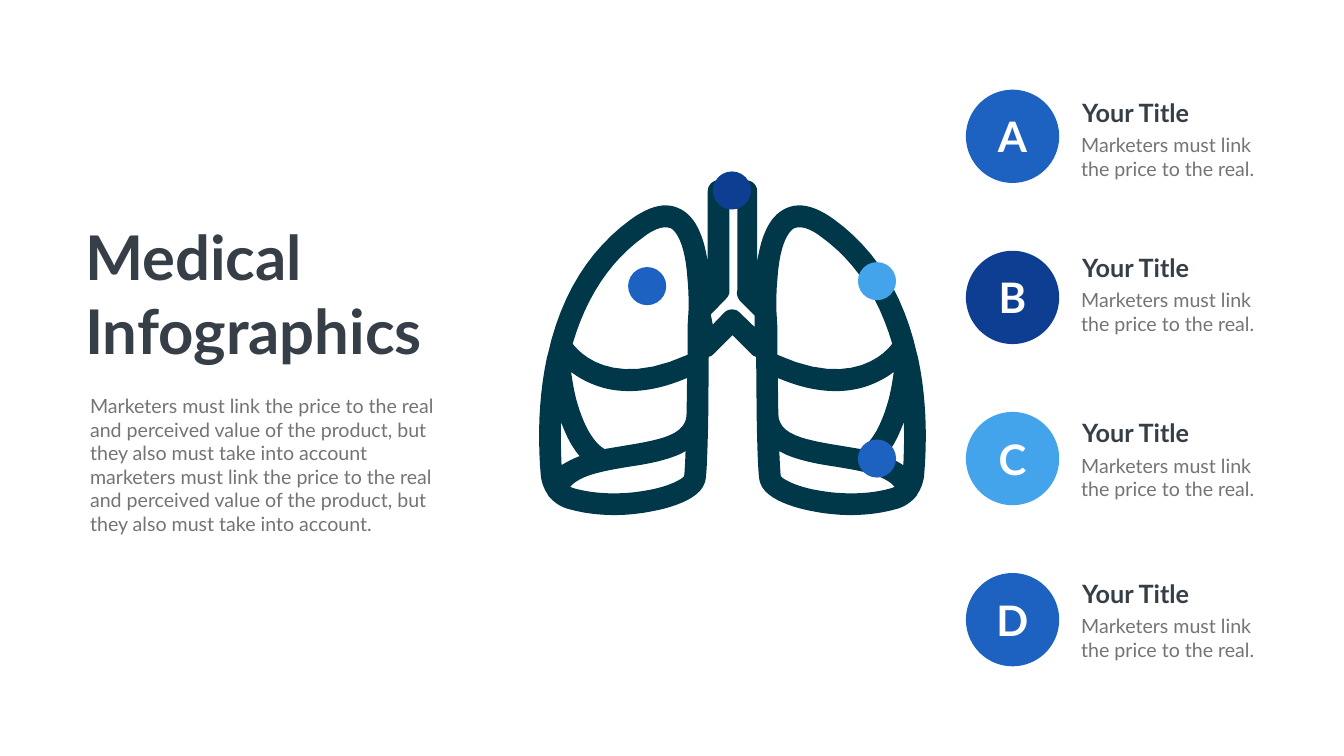
from typing import NamedTuple

from pptx import Presentation, util as u
from pptx.dml.color import RGBColor
from pptx.enum import shapes as sh, text as tx

HUES = {"lung": "00384A", "blue": "1D62C1", "navy": "0D3E91", "sky": "43A4EC",
        "ink": "363E48", "grey": "737572", "white": "FFFFFF"}
Point = tuple[float, float]
Curve = list[tuple[float, ...]]


class Box(NamedTuple):
    left: float
    top: float
    width: float
    height: float


class Style(NamedTuple):
    size: int
    hue: str
    bold: bool = False
    align: tx.PP_ALIGN = tx.PP_ALIGN.LEFT


class Item(NamedTuple):
    mark: str
    hue: str
    top: float  # top of the item's heading


class Dot(NamedTuple):
    left: float
    top: float
    hue: str


HEAD = Style(88, "ink", True)
BODY = Style(28, "grey")
TITLE = Style(36, "ink", True)
MARK = Style(60, "white", True, tx.PP_ALIGN.CENTER)

ITEMS = [Item("A", "blue", 4.78), Item("B", "navy", 12.6),
         Item("C", "sky", 20.93), Item("D", "blue", 29.03)]
DOTS = [Dot(31.65, 13.46, "blue"), Dot(35.92, 8.64, "navy"),
        Dot(43.23, 22.15, "blue"), Dot(43.23, 13.21, "sky")]
DISC, PITCH, SPOT = 4.7, 8.12, 1.92

NOTE = "Marketers must link the price to the real."
VALUE = "arketers must link the price to the real and perceived value of the product, " \
        "but they also must take into account"

# Lung outlines in inches: two numbers are a corner, six are a Bézier curve.
AXIS = 14.53
UNITS = 1000
RIM: Curve = [
    (14.53, 3.58), (14.25, 3.58), (14.13, 3.58, 14.04, 3.68, 14.04, 3.79), (14.04, 5.2),
    (13.96, 4.66, 13.79, 4.31, 13.52, 4.16), (13.24, 4, 12.91, 4.07, 12.52, 4.35),
    (11.69, 4.95, 11.13, 5.85, 10.87, 7.02), (10.85, 7.09),
    (10.64, 8.07, 10.69, 8.99, 10.73, 9.46), (10.75, 9.58, 10.79, 9.7, 10.86, 9.8),
    (10.88, 9.84), (10.98, 9.96, 11.12, 10.06, 11.28, 10.1),
    (11.56, 10.18, 11.87, 10.22, 12.19, 10.22), (12.45, 10.22, 12.71, 10.19, 12.96, 10.14),
    (13.23, 10.09, 13.87, 9.93, 13.98, 9.58), (14, 9.52, 14.03, 9.42, 14.05, 8.24),
    (14.06, 7.08), (14.1, 7.07, 14.13, 7.05, 14.15, 7.03), (14.53, 6.65)]
PIPE: Curve = [
    (14.97, 6.49), (14.67, 6.2), (14.63, 6.16, 14.58, 6.14, 14.52, 6.14),
    (14.47, 6.14, 14.41, 6.16, 14.37, 6.2), (14.14, 6.44), (14.1, 6.24), (14.4, 5.93),
    (14.44, 5.89, 14.47, 5.84, 14.47, 5.78), (14.47, 4.01), (14.63, 4.01), (14.63, 5.75),
    (14.6, 5.82, 14.63, 5.91, 14.68, 5.97), (14.97, 6.26)]
APEX: Curve = [
    (12.77, 4.7), (12.9, 4.6, 13.06, 4.51, 13.2, 4.51),
    (13.24, 4.51, 13.27, 4.52, 13.31, 4.53), (13.39, 4.58, 13.59, 4.77, 13.64, 5.56),
    (13.66, 5.77, 13.66, 5.97, 13.66, 6.14), (13.64, 6.47), (13.64, 7.04),
    (12.12, 7.73, 11.47, 6.97, 11.36, 6.82), (11.63, 5.9, 12.1, 5.18, 12.77, 4.7)]
CORE: Curve = [
    (13.62, 8.21), (13.62, 8.61, 13.16, 8.72, 12.41, 8.84), (11.99, 8.91),
    (11.76, 8.77, 11.57, 8.43, 11.43, 7.92), (11.38, 7.72, 11.35, 7.53, 11.33, 7.38),
    (11.42, 7.45, 11.53, 7.52, 11.66, 7.58), (11.91, 7.7, 12.18, 7.76, 12.48, 7.76),
    (12.88, 7.76, 13.25, 7.66, 13.63, 7.5)]
SIDE: Curve = [
    (11.14, 9.23), (11.13, 9, 11.12, 8.71, 11.13, 8.37),
    (11.23, 8.65, 11.35, 8.88, 11.5, 9.05), (11.37, 9.1, 11.25, 9.16, 11.14, 9.23)]
BASE: Curve = [
    (12.83, 9.73), (12.34, 9.82, 11.82, 9.81, 11.39, 9.69), (11.31, 9.66),
    (11.51, 9.42, 12, 9.34, 12.48, 9.26), (12.83, 9.21, 13.2, 9.14, 13.49, 9.01),
    (13.6, 8.95), (13.59, 9.21, 13.58, 9.39, 13.57, 9.45),
    (13.53, 9.5, 13.3, 9.65, 12.83, 9.73)]


def trace(curve: Curve, steps: int = 12) -> list[Point]:
    """Flatten corners and Bézier curves into points."""
    dots: list[Point] = [curve[0]]
    for part in curve[1:]:
        if len(part) == 2:
            dots.append(part)
            continue
        a, (b, c, d) = dots[-1], (part[:2], part[2:4], part[4:])
        for k in range(1, steps + 1):
            t = k / steps
            s = 1 - t
            dots.append(tuple(s**3 * a[i] + 3 * s * s * t * b[i] + 3 * s * t * t * c[i]
                              + t**3 * d[i] for i in (0, 1)))
    return dots


def flip(dots: list[Point]) -> list[Point]:
    """Mirror points across the windpipe, in reverse order."""
    return [(2 * AXIS - x, y) for x, y in reversed(dots)]


def paint(shape, hue: str) -> None:
    shape.shadow.inherit = False
    shape.fill.solid()
    shape.fill.fore_color.rgb = RGBColor.from_string(HUES[hue])
    shape.line.fill.background()


def draw_lungs(tree) -> None:
    rim = trace(RIM)
    loops = [rim + flip(rim), trace(PIPE)]
    for hole in map(trace, (APEX, CORE, SIDE, BASE)):
        loops += [hole, flip(hole)]
    loops = [[(x * UNITS, y * UNITS) for x, y in loop] for loop in loops]
    pen = tree.build_freeform(*loops[0][0], scale=u.Cm(2.54) / UNITS)
    pen.add_line_segments(loops[0][1:])
    for loop in loops[1:]:
        pen.move_to(*loop[0])
        pen.add_line_segments(loop[1:])
    paint(pen.convert_to_shape(), "lung")


def draw_disc(tree, left: float, top: float, size: float, hue: str) -> None:
    disc = tree.add_shape(sh.MSO_SHAPE.OVAL, *map(u.Cm, (left, top, size, size)))
    paint(disc, hue)


def write(tree, box: Box, words: str, style: Style) -> None:
    frame = tree.add_textbox(*map(u.Cm, box)).text_frame
    frame.word_wrap = True
    frame.auto_size = tx.MSO_AUTO_SIZE.SHAPE_TO_FIT_TEXT
    line = frame.paragraphs[0]
    line.alignment = style.align
    run = line.add_run()
    run.text = words
    looks = {"name": "Lato", "size": u.Pt(style.size), "bold": style.bold}
    for key, val in looks.items():
        setattr(run.font, key, val)
    run.font.color.rgb = RGBColor.from_string(HUES[style.hue])


def main() -> None:
    deck = Presentation()
    deck.slide_width, deck.slide_height = u.Cm(67.72), u.Cm(38.1)
    tree = deck.slides.add_slide(deck.slide_layouts[6]).shapes

    draw_lungs(tree)
    tops = [4.52 + PITCH * i for i in range(len(ITEMS))]
    for item, top in zip(ITEMS, tops):
        draw_disc(tree, 48.67, top, DISC, item.hue)
    for dot in DOTS:
        draw_disc(tree, dot.left, dot.top, SPOT, dot.hue)

    intro = tree.add_group_shape().shapes
    write(intro, Box(4.04, 10.92, 19.81, 7.77), "Medical Infographics", HEAD)
    write(intro, Box(4.29, 19.74, 18.62, 7.44), f"M{VALUE} m{VALUE}.", BODY)

    for item, top in zip(ITEMS, tops):
        write(tree, Box(49.48, top + 0.94, 3.07, 2.82), item.mark, MARK)
    for item in ITEMS:
        pair = tree.add_group_shape().shapes
        write(pair, Box(54.23, item.top + 1.8, 10.01, 2.64), NOTE, BODY)
        write(pair, Box(54.28, item.top, 9.93, 1.8), "Your Title", TITLE)

    deck.save("out.pptx")


if __name__ == "__main__":
    main()
